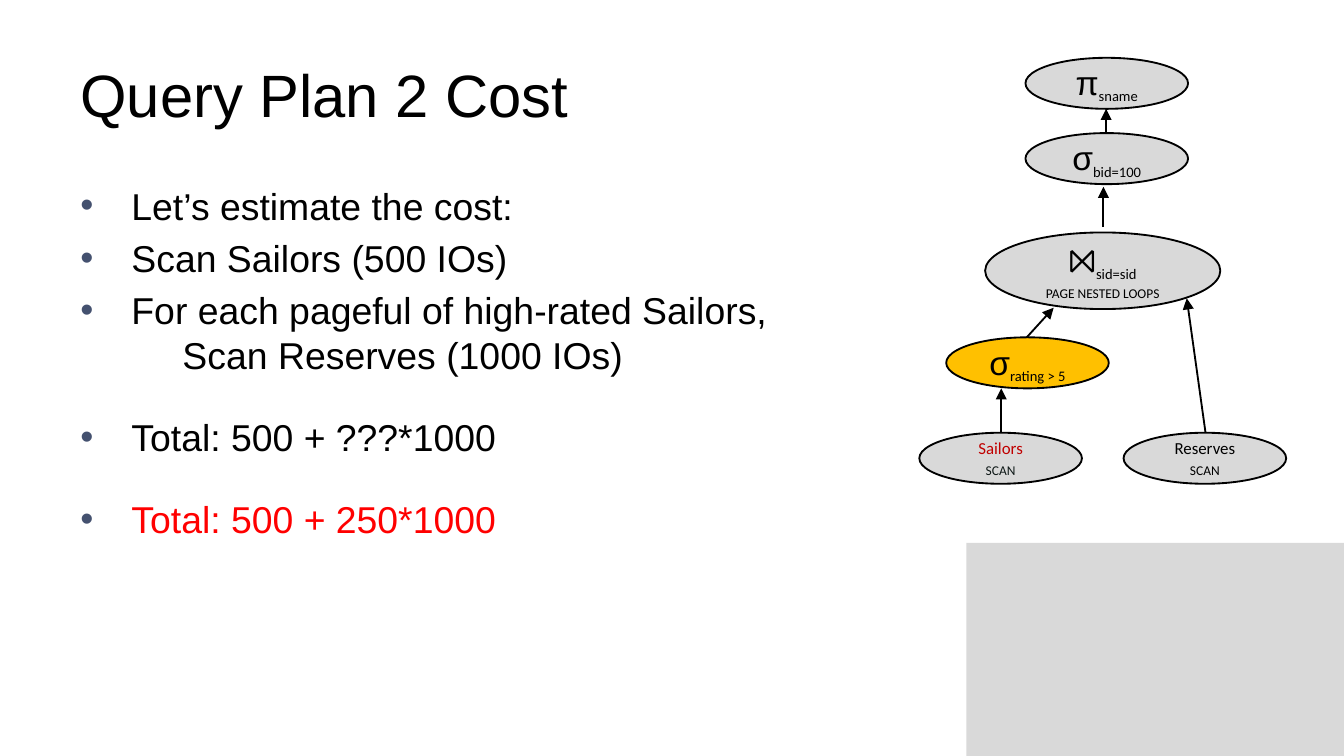
from dataclasses import dataclass

from lxml import etree
from pptx import Presentation
from pptx import util as u
from pptx.dml.color import RGBColor
from pptx.enum import shapes, text
from pptx.oxml import ns


@dataclass(frozen=True)
class Theme:
    ink: str = "000000"
    dark: str = "0E1817"
    node: str = "D9D9D9"
    highlight: str = "FFC000"
    answer: str = "FF0000"
    relation: str = "C00000"
    bullet: str = "44516F"
    heading_font: str = "Arial"
    label_font: str = "Calibri"
    title_size: float = 32
    body_size: float = 20
    symbol_size: float = 18
    subscript_size: float = 13.5
    label_size: float = 9


def set_all(target, values):
    for name, value in values.items():
        setattr(target, name, value)


class PlanSlide:
    """Holds the theme and the current slide."""

    def __init__(self, slide, theme):
        self.slide, self.theme = slide, theme

    def run(self, paragraph, words, size, font, color=None, **attributes):
        run = paragraph.add_run()
        run.text = words
        set_all(run.font, {"size": u.Pt(size), "name": font})
        run.font.color.rgb = RGBColor.from_string(color or self.theme.ink)
        for name, value in attributes.items():
            run.font._element.set(name, value)

    def text_box(self, left, top, width, height, anchor):
        box = self.slide.shapes.add_textbox(*map(u.Inches, (left, top, width, height)))
        set_all(box.text_frame, {"word_wrap": True, "vertical_anchor": anchor})
        return box.text_frame

    def title(self, words):
        frame = self.text_box(0.5, 0.23, 9, 0.94, text.MSO_ANCHOR.MIDDLE)
        self.run(frame.paragraphs[0], words, self.theme.title_size, self.theme.heading_font)

    def bullets(self, items):
        frame = self.text_box(0.5, 1.31, 9, 3.71, text.MSO_ANCHOR.TOP)
        for i, (words, gap, marked, color) in enumerate(items):
            paragraph = frame.paragraphs[0] if i == 0 else frame.add_paragraph()
            paragraph.space_before = u.Pt(gap)
            props = paragraph._p.get_or_add_pPr()
            props.set("marL", str(u.Inches(0.38 if marked else 0.76)))
            props.set("indent", str(u.Inches(-0.38 if marked else 0)))
            if marked:
                bullet_color = etree.SubElement(props, ns.qn("a:buClr"))
                etree.SubElement(bullet_color, ns.qn("a:srgbClr"), val=self.theme.bullet)
                etree.SubElement(props, ns.qn("a:buFont"), typeface=self.theme.heading_font)
                etree.SubElement(props, ns.qn("a:buChar"), char="•")
            self.run(paragraph, words, self.theme.body_size, self.theme.heading_font, color)

    def shape(self, kind, left, top, width, height, fill):
        shape = self.slide.shapes.add_shape(kind, *map(u.Inches, (left, top, width, height)))
        shape.shadow.inherit = False
        shape.fill.solid()
        shape.fill.fore_color.rgb = RGBColor.from_string(fill)
        return shape

    def panel(self, left, top, width, height):
        panel = self.shape(shapes.MSO_SHAPE.RECTANGLE, left, top, width, height, self.theme.node)
        panel.line.fill.background()

    def node(self, left, top, paragraphs, width=1.21, height=0.38, fill=None):
        """Each paragraph is a list of (words, format) runs; None breaks the line."""
        oval = self.shape(shapes.MSO_SHAPE.OVAL, left, top, width, height,
                          fill or self.theme.node)
        oval.line.color.rgb = RGBColor.from_string(self.theme.ink)
        oval.line.width = u.Pt(1)
        frame = oval.text_frame
        set_all(frame, {
            "word_wrap": True, "vertical_anchor": text.MSO_ANCHOR.MIDDLE,
            "margin_left": u.Inches(0.07), "margin_right": u.Inches(0.07),
            "margin_top": u.Inches(0.04), "margin_bottom": u.Inches(0.04)})
        for i, runs in enumerate(paragraphs):
            paragraph = frame.paragraphs[0] if i == 0 else frame.add_paragraph()
            paragraph.alignment = text.PP_ALIGN.CENTER
            for piece in runs:
                if piece is None:
                    paragraph.add_line_break()
                else:
                    words, style = piece
                    self.run(paragraph, words, **style)

    def arrow(self, x1, y1, x2, y2):
        arrow = self.slide.shapes.add_connector(
            shapes.MSO_CONNECTOR.STRAIGHT, *map(u.Inches, (x1, y1, x2, y2)))
        arrow.line.color.rgb = RGBColor.from_string(self.theme.ink)
        arrow.line.width = u.Pt(1)
        etree.SubElement(arrow.line._get_or_add_ln(), ns.qn("a:tailEnd"), type="triangle")
        etree.SubElement(arrow._element.spPr, ns.qn("a:effectLst"))


def main():
    # Widescreen slide, 16 to 9
    deck = Presentation()
    set_all(deck, {"slide_width": u.Inches(10), "slide_height": u.Inches(10) * 9 // 16})
    theme = Theme()
    plan = PlanSlide(deck.slides.add_slide(deck.slide_layouts[6]), theme)

    # Corner panel, title and cost estimate
    plan.panel(7.19, 4.04, 2.81, 1.59)
    plan.title("Query Plan 2 Cost")
    plan.bullets([
        ("Let’s estimate the cost:", 0, True, theme.ink),
        ("Scan Sailors (500 IOs)", 4, True, theme.ink),
        ("For each pageful of high-rated Sailors,", 4, True, theme.ink),
        ("Scan Reserves (1000 IOs)", 0, False, theme.ink),
        ("Total: 500 + ???*1000", 20, True, theme.ink),
        ("Total: 500 + 250*1000", 20, True, theme.answer),
    ])

    # Text formats of the plan nodes
    symbol = {"size": theme.symbol_size, "font": theme.heading_font}
    subscript = {"size": theme.subscript_size, "font": theme.label_font, "baseline": "-25000"}
    label = {"size": theme.label_size, "font": theme.label_font}
    method = {**label, "cap": "small"}

    # Operators
    for left, top, operator, condition, fill in [
        (7.63, 0.43, "π", "sname", theme.node),
        (7.63, 0.99, "σ", "bid=100", theme.node),
        (7.04, 2.51, "σ", "rating > 5", theme.highlight),
    ]:
        plan.node(left, top, [[(operator, symbol), (condition, subscript)]], fill=fill)
    plan.node(7.33, 1.73, [[("⨝", symbol), ("sid=sid", subscript), None,
                            ("page nested loops", method)]], width=1.75, height=0.57)

    # Scanned relations
    for left, relation, name_color, scan_color in [
        (6.84, "Sailors", theme.relation, theme.dark),
        (8.36, "Reserves", theme.ink, theme.ink),
    ]:
        plan.node(left, 3.22, [[(relation, {**label, "color": name_color})],
                               [("scan", {**method, "color": scan_color})]])

    # Data flow, from the scans up to the projection
    for ends in [
        (7.45, 3.22, 7.45, 2.89),
        (8.97, 3.22, 8.83, 2.22),
        (7.64, 2.51, 7.84, 2.29),
        (8.21, 1.69, 8.21, 1.39),
        (8.23, 0.99, 8.23, 0.81),
    ]:
        plan.arrow(*ends)

    deck.save("out.pptx")


if __name__ == "__main__":
    main()
